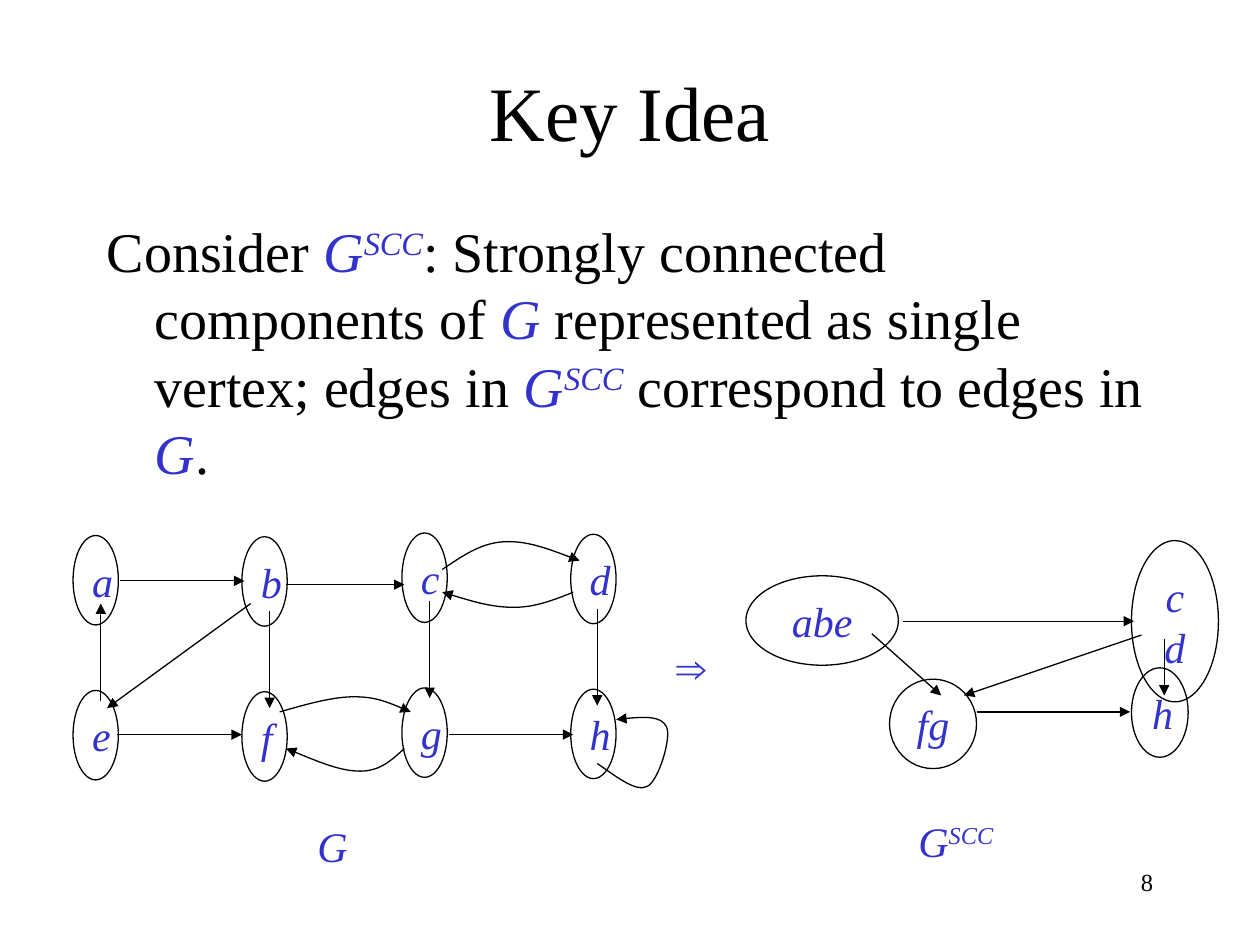
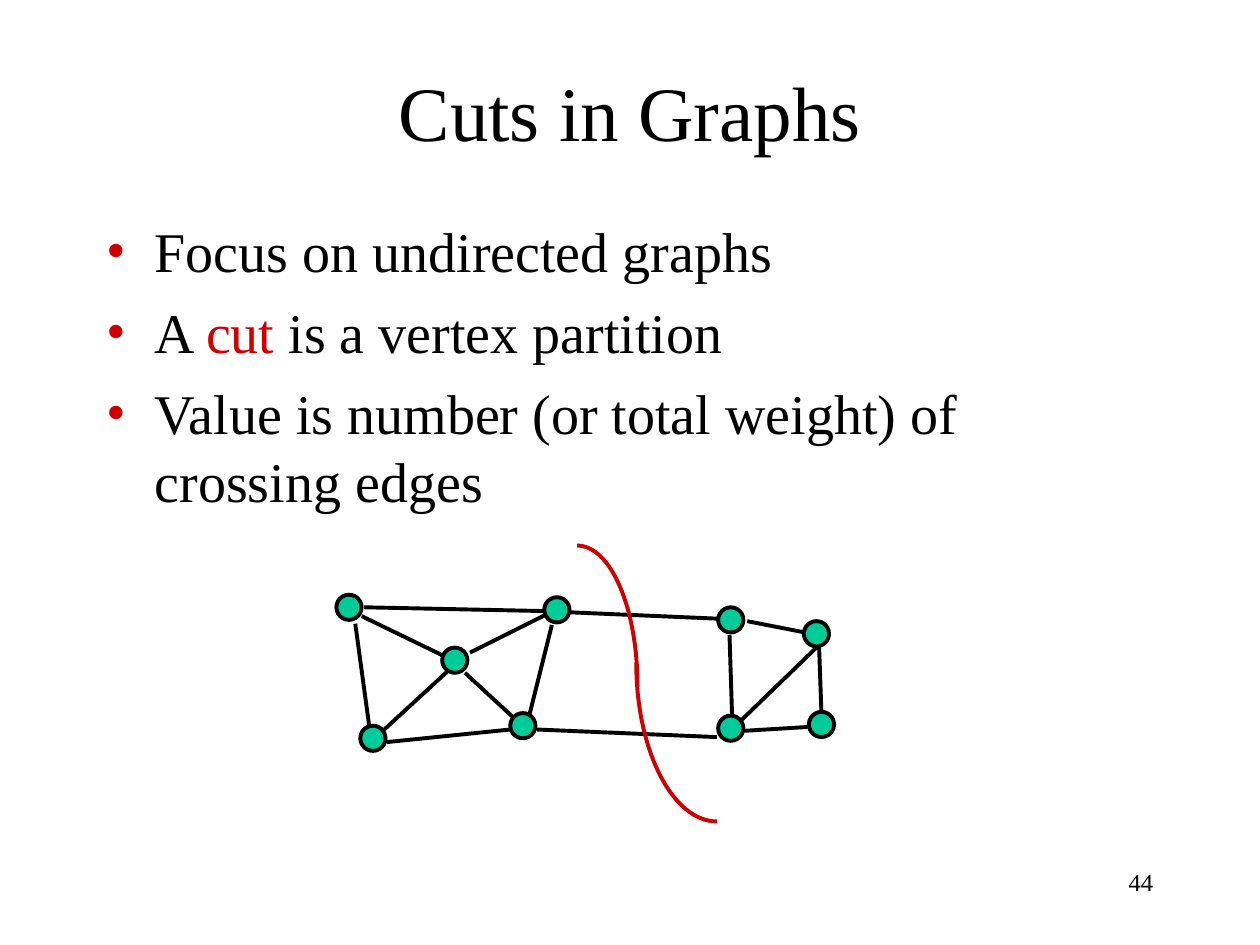
from lxml import etree
from pptx import Presentation
from pptx.dml.color import RGBColor
from pptx.enum.shapes import MSO_CONNECTOR, MSO_SHAPE
from pptx.enum.text import MSO_ANCHOR, MSO_AUTO_SIZE, PP_ALIGN
from pptx.oxml.ns import qn
from pptx.util import Pt

PX = 9144  # EMU in one px, 100 px to the inch
TITLE_ONLY = 5
BLACK = RGBColor(0x00, 0x00, 0x00)
BLUE = RGBColor(0x33, 0x33, 0xCC)
RED = RGBColor(0xCE, 0x00, 0x00)
GREEN = RGBColor(0x00, 0xCC, 0x99)
SERIF, SANS = "Times New Roman", "Arial"
LEFT, CENTER, RIGHT = PP_ALIGN.LEFT, PP_ALIGN.CENTER, PP_ALIGN.RIGHT
MIDDLE = MSO_ANCHOR.MIDDLE
GROW, FIXED = MSO_AUTO_SIZE.SHAPE_TO_FIT_TEXT, MSO_AUTO_SIZE.NONE
OVAL, STRAIGHT = MSO_SHAPE.OVAL, MSO_CONNECTOR.STRAIGHT
THIN, THICK = Pt(0.75), Pt(2.25)

# Text styles: font values, colour, and baseline shift in thousandths of a percent
STYLES = {
    "plain": ({"name": SERIF}, BLACK, 0),
    "math": ({"name": SERIF, "italic": True}, BLUE, 0),
    "super": ({"name": SERIF, "italic": True}, BLUE, 30000),
    "symbol": ({"name": SANS}, BLUE, 0),
    "key": ({"name": SERIF}, RED, 0),
}


def write(frame, paragraphs, size, align=LEFT, before=0, **frame_format):
    """Fill a text frame with paragraphs, each a list of (text, style) spans."""
    for name, value in frame_format.items():
        setattr(frame, name, value)
    for index, spans in enumerate(paragraphs):
        para = frame.add_paragraph() if index else frame.paragraphs[0]
        para.alignment, para.space_before = align, Pt(before)
        for text, style in spans:
            values, colour, baseline = STYLES[style]
            span = para.add_run()
            span.text = text
            for name, value in {"size": Pt(size), **values}.items():
                setattr(span.font, name, value)
            span.font.color.rgb = colour
            if baseline:
                span.font._element.set("baseline", str(baseline))


def draw_path(page, points, colour, width, arrow=False):
    """Draw a straight line through two points, or Bezier curves through 3n + 1."""
    if len(points) == 2:
        start, end = points
        path = page.shapes.add_connector(STRAIGHT, *(PX * value for value in start + end))
        etree.SubElement(path._element.spPr, qn("a:effectLst"))
    else:
        builder = page.shapes.build_freeform(*points[0], scale=PX)
        builder.add_line_segments(points[1:], close=False)
        path = builder.convert_to_shape()
        path.shadow.inherit = False
        path.fill.background()
        # Join each three line segments into one cubic curve
        segments = list(path._element.iter(qn("a:lnTo")))
        for first in range(0, len(segments), 3):
            curve = etree.Element(qn("a:cubicBezTo"))
            segments[first].addprevious(curve)
            for segment in segments[first:first + 3]:
                curve.append(segment[0])
                segment.getparent().remove(segment)
    path.line.color.rgb, path.line.width = colour, width
    if arrow:
        etree.SubElement(path.line._get_or_add_ln(), qn("a:tailEnd"), type="triangle")


deck = Presentation()
deck.slide_width, deck.slide_height = 1000 * PX, 750 * PX

# Title, body text, bullet and number of each slide
key_idea = [[
    ("Consider ", "plain"), ("G", "math"), ("SCC", "super"),
    (": Strongly connected components of ", "plain"), ("G", "math"),
    (" represented as single vertex; edges in ", "plain"), ("G", "math"), ("SCC", "super"),
    (" correspond to edges in ", "plain"), ("G", "math"), (".", "plain"),
]]
cuts = [
    [("Focus on undirected graphs", "plain")],
    [("A ", "plain"), ("cut", "key"), (" is a vertex partition", "plain")],
    [("Value is number (or total weight) of crossing edges", "plain")],
]
pages = []
for heading, body, bullet, number in (
    ("Key Idea", key_idea, None, "8"),
    ("Cuts in Graphs", cuts, "•", "44"),
):
    page = deck.slides.add_slide(deck.slide_layouts[TITLE_ONLY])
    pages.append(page)
    title = page.shapes.title
    title.left, title.top, title.width, title.height = (PX * v for v in (75, 25, 850, 125))
    write(title.text_frame, [[(heading, "plain")]], 44, CENTER,
          vertical_anchor=MIDDLE, auto_size=FIXED)

    box = page.shapes.add_textbox(*(PX * v for v in (75, 167, 850, 500)))
    write(box.text_frame, body, 32, before=8, word_wrap=True)
    for para in box.text_frame.paragraphs:
        properties = para._p.get_or_add_pPr()
        properties.set("marL", str(38 * PX))
        properties.set("indent", str(-38 * PX))
        if bullet:
            colour = etree.SubElement(properties, qn("a:buClr"))
            etree.SubElement(colour, qn("a:srgbClr"), val=str(RED))
            etree.SubElement(properties, qn("a:buFont"), typeface=SERIF)
            etree.SubElement(properties, qn("a:buChar"), char=bullet)

    box = page.shapes.add_textbox(*(PX * v for v in (717, 683, 208, 50)))
    write(box.text_frame, [[(number, "plain")]], 14, RIGHT, word_wrap=True)

key_page, cut_page = pages

# Key Idea: vertices of G in two rows, then its components
vertices = []
for left, top, names in (
    (58, 425, "ae"), (192, 426, "bf"), (319, 423, "cg"), (453, 424, "dh"),
):
    for row, name in enumerate(names):
        vertices.append((name, left, top + 123 * row, 36, 71))
vertices += [
    ("abe", 592, 457, 121, 71), ("fg", 706, 539, 69, 71),
    ("cd", 898, 429, 69, 128), ("h", 898, 530, 45, 71),
]
for name, *place in vertices:
    vertex = key_page.shapes.add_shape(OVAL, *(PX * v for v in place))
    vertex.shadow.inherit = False
    vertex.fill.background()
    vertex.line.color.rgb, vertex.line.width = BLACK, THIN
    write(vertex.text_frame, [[(name, "math")]], 24, CENTER,
          vertical_anchor=MIDDLE, word_wrap=True, auto_size=GROW)

# Key Idea: directed edges, straight and curved
directed_edges = [
    [(95, 461), (194, 461)], [(80, 556), (80, 479)], [(199, 479), (85, 562)],
    [(214, 485), (214, 562)], [(341, 477), (341, 554)], [(474, 483), (474, 560)],
    [(227, 464), (321, 464)], [(93, 583), (192, 583)], [(356, 583), (455, 583)],
    [(222, 565), (243, 559), (264, 553), (281, 553), (298, 553), (312, 559), (326, 565)],
    [(321, 594), (311, 603), (302, 612), (286, 612), (270, 612), (249, 603), (227, 594)],
    [(351, 452), (366, 442), (381, 431), (400, 430), (418, 429), (439, 437), (460, 445)],
    [(455, 470), (440, 476), (425, 482), (408, 482), (390, 482), (371, 476), (351, 470)],
    [(474, 606), (490, 617), (505, 629), (514, 624), (523, 619), (533, 585), (529, 577),
     (525, 568), (507, 569), (489, 571)],
    [(717, 493), (900, 493)], [(692, 503), (747, 552)], [(906, 504), (765, 552)],
    [(924, 507), (924, 552)], [(775, 565), (897, 565)],
]
for points in directed_edges:
    draw_path(key_page, points, BLACK, THIN, arrow=True)

# Key Idea: captions, with room to stay on one line
for spans, before, *place in (
    ([("⇒", "symbol")], 0, 527, 504, 60, 50),
    ([("G", "math")], 6, 242, 646, 60, 50),
    ([("G", "math"), ("SCC", "super")], 6, 719, 642, 100, 50),
):
    caption = key_page.shapes.add_textbox(*(PX * v for v in place))
    write(caption.text_frame, [spans], 24, before=before, word_wrap=True, auto_size=FIXED)

# Cuts in Graphs: undirected edges
for points in (
    [(287, 489), (351, 520)], [(282, 495), (293, 576)], [(307, 589), (405, 579)],
    [(369, 534), (407, 569)], [(420, 568), (438, 496)], [(289, 482), (433, 485)],
    [(433, 488), (373, 518)], [(355, 533), (305, 579)], [(453, 486), (569, 491)],
    [(593, 493), (639, 502)], [(649, 513), (589, 571)], [(579, 504), (581, 567)],
    [(569, 585), (426, 579)], [(591, 580), (641, 577)], [(652, 567), (650, 511)],
):
    draw_path(cut_page, points, BLACK, THICK)

# Cuts in Graphs: vertices
for left, top in (
    (351, 514), (267, 472), (405, 566), (432, 474), (286, 576),
    (570, 482), (570, 568), (642, 565), (638, 493),
):
    vertex = cut_page.shapes.add_shape(OVAL, *(PX * v for v in (left, top, 20, 20)))
    vertex.shadow.inherit = False
    vertex.fill.solid()
    vertex.fill.fore_color.rgb = GREEN
    vertex.line.color.rgb, vertex.line.width = BLACK, THICK

# Cuts in Graphs: the cut, as two quarter arcs
for arc in (
    [(458, 433), (485, 433), (506, 483), (506, 545)],
    [(569, 652), (534, 652), (505, 596), (505, 526)],
):
    draw_path(cut_page, arc, RED, THICK)

deck.save("out.pptx")
